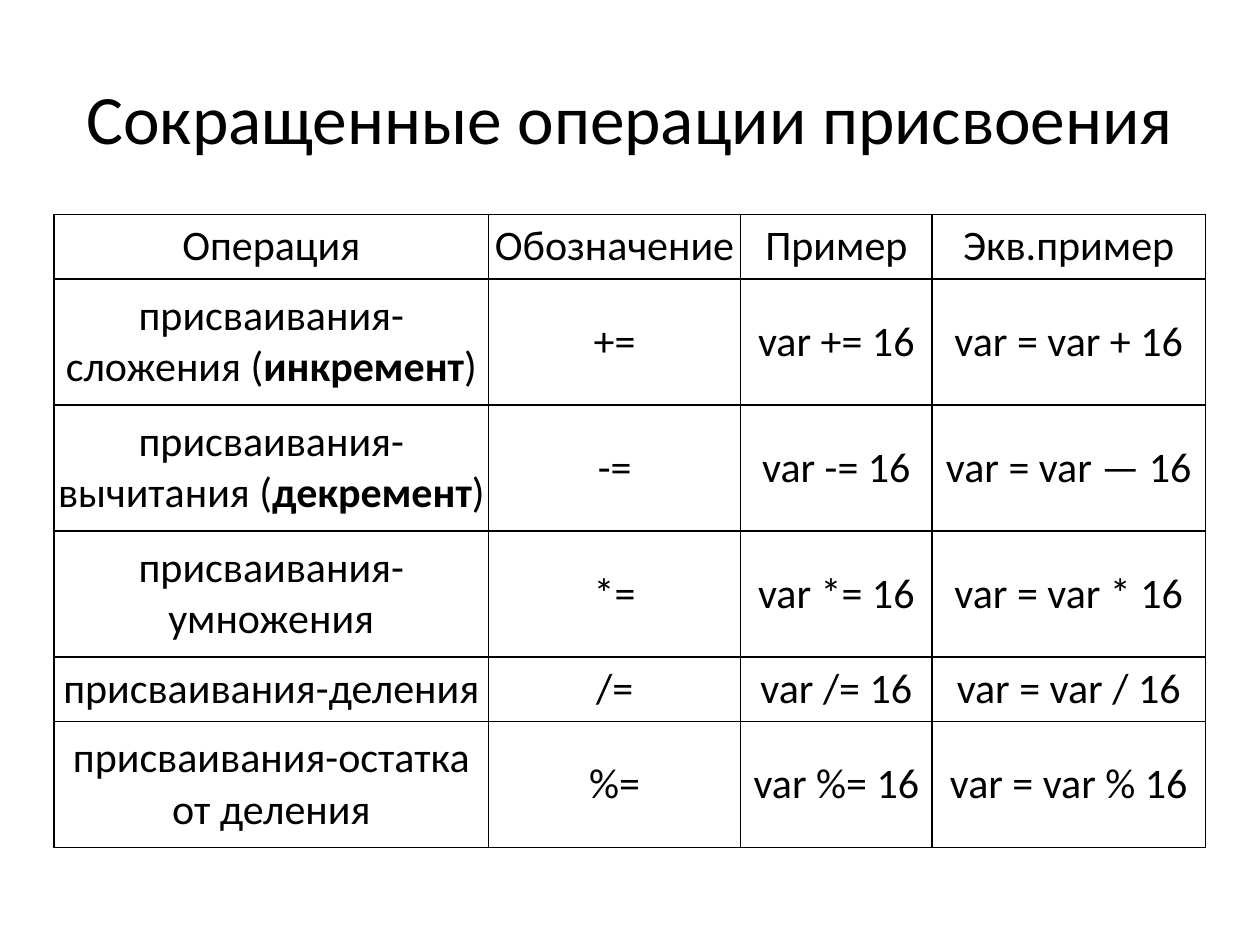
import dataclasses

import pptx
import pptx.dml.color
import pptx.enum.text
import pptx.oxml
import pptx.oxml.ns
import pptx.util

Cm = pptx.util.Cm
Pt = pptx.util.Pt


@dataclasses.dataclass(frozen=True)
class Theme:
    font: str = "Calibri"
    ink: str = "000000"
    title: float = 39.6
    body: float = 24
    rule: float = 1


THEME = Theme()
MIDDLE = pptx.enum.text.MSO_ANCHOR.MIDDLE
CENTER = pptx.enum.text.PP_ALIGN.CENTER

COLS = (8.76, 5.08, 3.86, 5.51)
LOW, TALL = 1.3, 2.54

# Row height and cell texts; bars enclose bold words
ROWS = (
    (LOW, ("Операция", "Обозначение", "Пример", "Экв.пример")),
    (TALL, ("присваивания-сложения (|инкремент|)", "+=", "var += 16", "var = var + 16")),
    (TALL, ("присваивания-вычитания (|декремент|)", "-=", "var -= 16", "var = var — 16")),
    (TALL, ("присваивания-умножения", "*=", "var *= 16", "var = var * 16")),
    (LOW, ("присваивания-деления", "/=", "var /= 16", "var = var / 16")),
    (TALL, ("присваивания-остатка от деления", "%=", "var %= 16", "var = var % 16")),
)


def apply(item, form):
    for name, value in form.items():
        setattr(item, name, value)


def write(frame, text, size):
    """Fill a frame with one centred paragraph."""
    para = frame.paragraphs[0]
    para.alignment = CENTER
    for i, part in enumerate(text.split("|")):
        run = para.add_run()
        run.text = part
        apply(run.font, {"name": THEME.font, "size": Pt(size), "bold": i % 2 == 1})
        run.font.color.rgb = pptx.dml.color.RGBColor.from_string(THEME.ink)


def border(cell):
    """Draw a thin line on all four sides of a cell."""
    props = cell._tc.get_or_add_tcPr()
    for i, side in enumerate("LRTB"):
        props.insert(i, pptx.oxml.parse_xml(
            f'<a:ln{side} {pptx.oxml.ns.nsdecls("a")} w="{Pt(THEME.rule)}">'
            f'<a:solidFill><a:srgbClr val="{THEME.ink}"/></a:solidFill>'
            f'</a:ln{side}>'))


def add_title(slide, text):
    title = slide.shapes.title
    apply(title, {"left": Cm(1.27), "top": Cm(0.76),
                  "width": Cm(22.86), "height": Cm(3.18)})
    apply(title.text_frame, {"vertical_anchor": MIDDLE, "word_wrap": True,
                             "auto_size": pptx.enum.text.MSO_AUTO_SIZE.NONE})
    write(title.text_frame, text, THEME.title)


def add_grid(slide):
    high = sum(row[0] for row in ROWS)
    table = slide.shapes.add_table(len(ROWS), len(COLS), Cm(1.09), Cm(4.32),
                                   Cm(sum(COLS)), Cm(high)).table
    apply(table, {"first_row": False, "horz_banding": False})
    for col, width in zip(table.columns, COLS):
        col.width = Cm(width)

    pad = {f"margin_{side}": Cm(0.03) for side in ("left", "right", "top", "bottom")}
    for row, (height, texts) in zip(table.rows, ROWS):
        row.height = Cm(height)
        for cell, text in zip(row.cells, texts):
            apply(cell, {**pad, "vertical_anchor": MIDDLE})
            cell.fill.background()
            border(cell)
            write(cell.text_frame, text, THEME.body)


def main():
    deck = pptx.Presentation()
    apply(deck, {"slide_width": Cm(25.4), "slide_height": Cm(19.05)})
    slide = deck.slides.add_slide(deck.slide_layouts[5])

    # Heading
    add_title(slide, "Сокращенные операции присвоения")

    # Table of operators
    add_grid(slide)

    deck.save("out.pptx")


if __name__ == "__main__":
    main()
